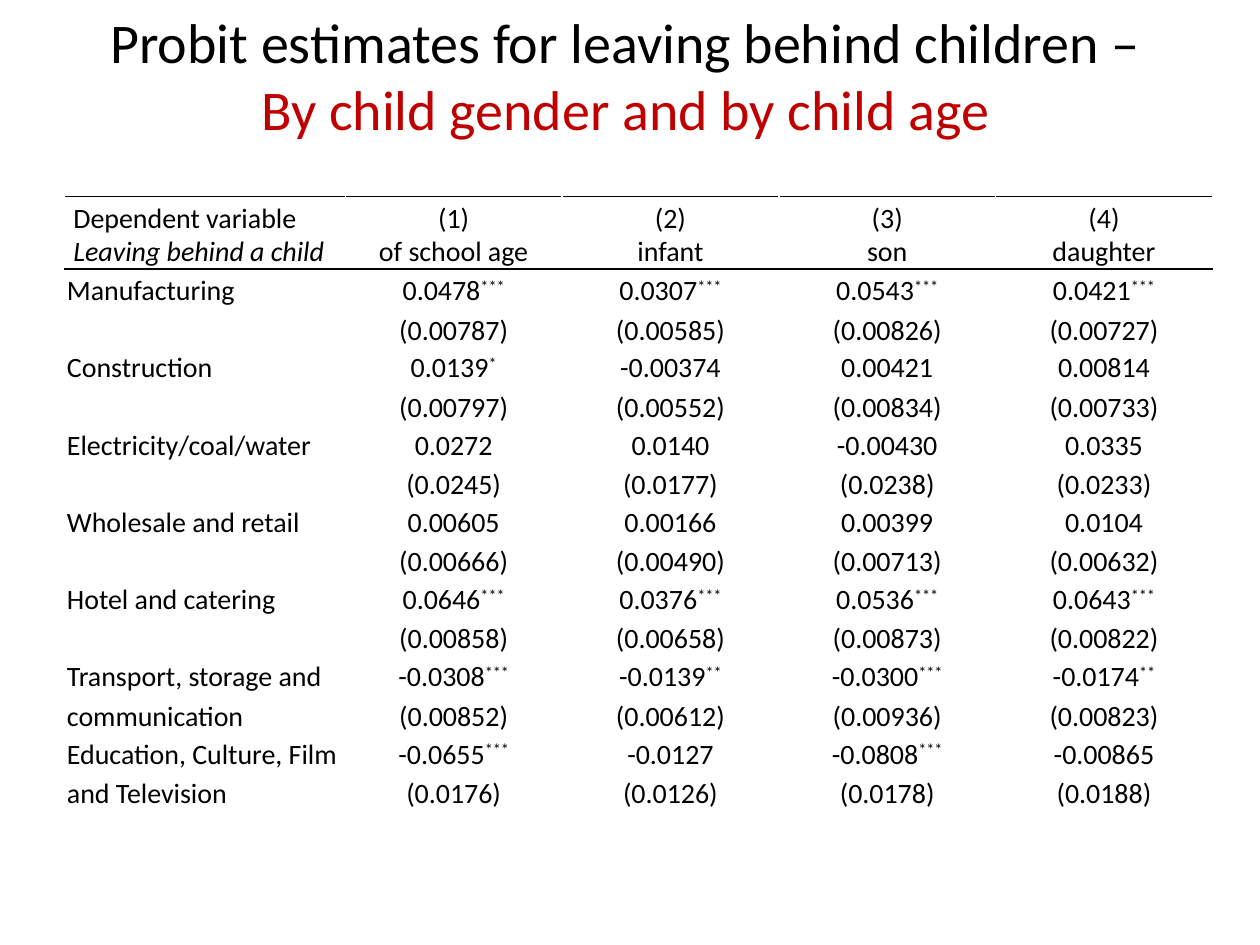
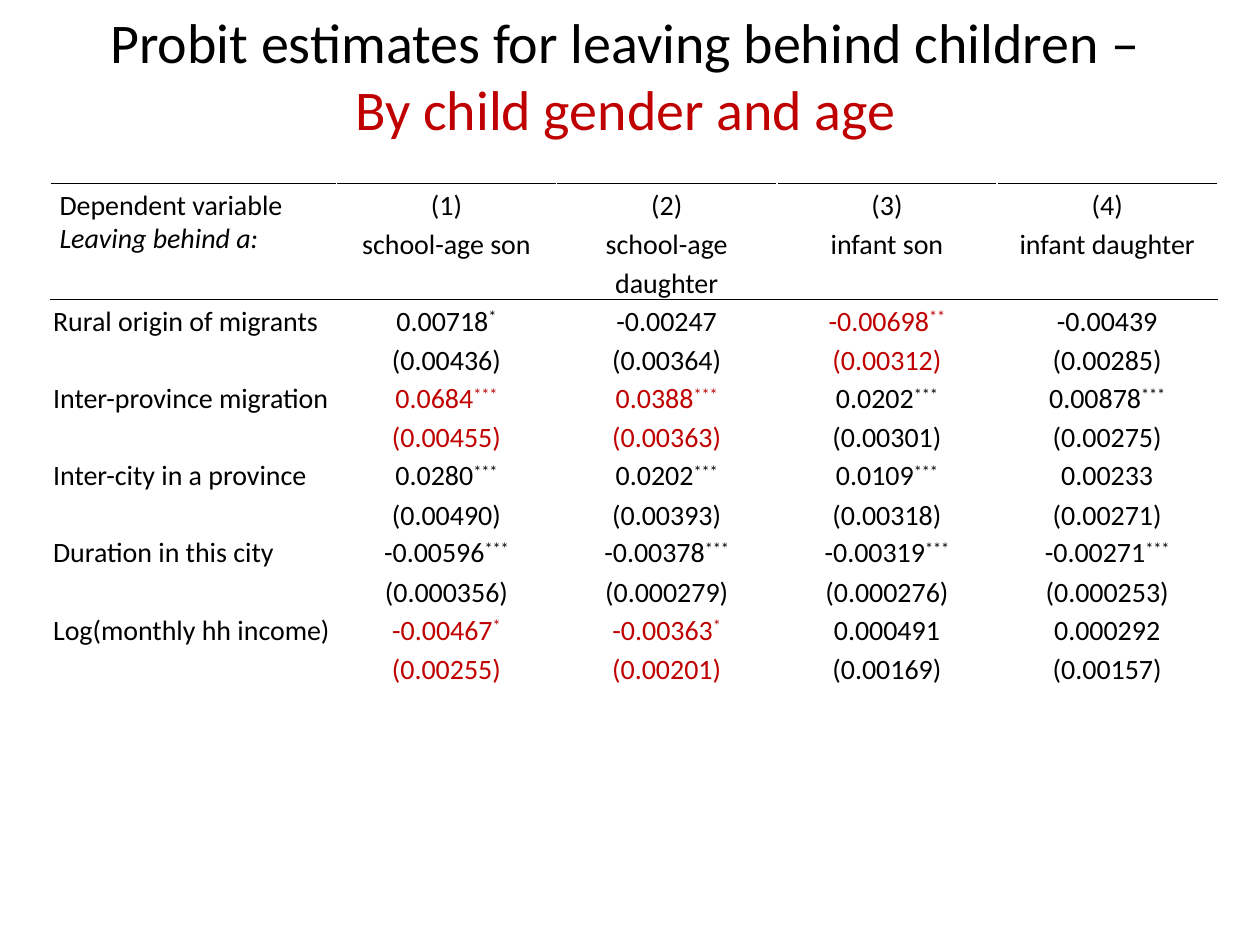
import copy
from dataclasses import dataclass

import pptx
import pptx.dml.color
import pptx.enum.text
import pptx.oxml.ns
import pptx.util
from lxml import etree

Cm = pptx.util.Cm
Pt = pptx.util.Pt
qn = pptx.oxml.ns.qn
ALIGN = pptx.enum.text.PP_ALIGN


@dataclass(frozen=True)
class Theme:
    font: str = "Calibri"
    ink: str = "000000"
    red: str = "C00000"
    paper: str = "FFFFFF"
    title: float = 32
    body: float = 16
    line: float = 1.15
    rule: float = 1


@dataclass(frozen=True)
class Est:
    coef: str
    err: str
    stars: int = 0
    hot: bool = False


@dataclass(frozen=True)
class Row:
    label: str
    ests: tuple[Est, ...]


@dataclass(frozen=True)
class Page:
    topic: str
    left: float
    top: float
    first: float  # width of the label column
    other: float  # width of each value column
    head: float  # height of the second header row
    tight: bool  # single line spacing in the second header row
    group: str
    names: tuple[str, ...]
    rows: tuple[Row, ...]


THEME = Theme()
LEAD = "Probit estimates for leaving behind children –"
WIDE, SLIM = 0.18, 0.05  # cell side margins in cm
TOP_ROW, BODY_ROW = 0.78, 1.55  # row heights in cm

PAGES = (
    Page(
        "By child gender and by child age", 1.3, 3.96, 5.66, 4.37, 0.68, True,
        "Leaving behind a child", ("of school age", "infant", "son", "daughter"),
        (
            Row("Manufacturing", (
                Est("0.0478", "0.00787", 3), Est("0.0307", "0.00585", 3),
                Est("0.0543", "0.00826", 3), Est("0.0421", "0.00727", 3))),
            Row("Construction", (
                Est("0.0139", "0.00797", 1), Est("-0.00374", "0.00552"),
                Est("0.00421", "0.00834"), Est("0.00814", "0.00733"))),
            Row("Electricity/coal/water", (
                Est("0.0272", "0.0245"), Est("0.0140", "0.0177"),
                Est("-0.00430", "0.0238"), Est("0.0335", "0.0233"))),
            Row("Wholesale and retail", (
                Est("0.00605", "0.00666"), Est("0.00166", "0.00490"),
                Est("0.00399", "0.00713"), Est("0.0104", "0.00632"))),
            Row("Hotel and catering", (
                Est("0.0646", "0.00858", 3), Est("0.0376", "0.00658", 3),
                Est("0.0536", "0.00873", 3), Est("0.0643", "0.00822", 3))),
            Row("Transport, storage and communication", (
                Est("-0.0308", "0.00852", 3), Est("-0.0139", "0.00612", 2),
                Est("-0.0300", "0.00936", 3), Est("-0.0174", "0.00823", 2))),
            Row("Education, Culture, Film and Television", (
                Est("-0.0655", "0.0176", 3), Est("-0.0127", "0.0126"),
                Est("-0.0808", "0.0178", 3), Est("-0.00865", "0.0188"))),
        ),
    ),
    Page(
        "By child gender and age", 1.02, 3.7, 5.76, 4.44, 1.55, False,
        "Leaving behind a:",
        ("school-age son", "school-age daughter", "infant son", "infant daughter"),
        (
            Row("Rural origin of migrants", (
                Est("0.00718", "0.00436", 1), Est("-0.00247", "0.00364"),
                Est("-0.00698", "0.00312", 2, True), Est("-0.00439", "0.00285"))),
            Row("Inter-province migration", (
                Est("0.0684", "0.00455", 3, True), Est("0.0388", "0.00363", 3, True),
                Est("0.0202", "0.00301", 3), Est("0.00878", "0.00275", 3))),
            Row("Inter-city in a province", (
                Est("0.0280", "0.00490", 3), Est("0.0202", "0.00393", 3),
                Est("0.0109", "0.00318", 3), Est("0.00233", "0.00271"))),
            Row("Duration in this city", (
                Est("-0.00596", "0.000356", 3), Est("-0.00378", "0.000279", 3),
                Est("-0.00319", "0.000276", 3), Est("-0.00271", "0.000253", 3))),
            Row("Log(monthly hh income)", (
                Est("-0.00467", "0.00255", 1, True), Est("-0.00363", "0.00201", 1, True),
                Est("0.000491", "0.00169"), Est("0.000292", "0.00157"))),
        ),
    ),
)


def style(run, size: float, color: str) -> None:
    run.font.name = THEME.font
    run.font.size = Pt(size)
    run.font.color.rgb = pptx.dml.color.RGBColor.from_string(color)


def edge(cell, side: str, color: str) -> None:
    props = cell._tc.get_or_add_tcPr()
    line = etree.SubElement(props, qn(f"a:ln{side}"), w=str(Pt(THEME.rule)))
    fill = etree.SubElement(line, qn("a:solidFill"))
    etree.SubElement(fill, qn("a:srgbClr"), val=color)


def frame(cell, row: int, pad: float) -> None:
    """Give a cell its margins, borders and fill."""
    cell.margin_left = cell.margin_right = Cm(pad)
    cell.margin_top = cell.margin_bottom = 0
    dark = {0: "T", 1: "B", 2: "T"}.get(row)
    for side in "LRTB":
        edge(cell, side, THEME.ink if side == dark else THEME.paper)
    cell.fill.solid()
    cell.fill.fore_color.rgb = pptx.dml.color.RGBColor.from_string(THEME.paper)


def label(cell, text: str, mid: bool = False, tight: bool = False,
          slant: bool = False) -> None:
    cell.text_frame.text = text
    para = cell.text_frame.paragraphs[0]
    para.alignment = ALIGN.CENTER if mid else ALIGN.LEFT
    para.line_spacing = 1.0 if tight else THEME.line
    run = para.runs[0]
    style(run, THEME.body, THEME.ink)
    if slant:
        run.font.italic = True


def value(cell, est: Est) -> None:
    """Write a coefficient with its stars above its standard error."""
    para = cell.text_frame.paragraphs[0]
    para.text = est.coef
    para.alignment = ALIGN.CENTER
    para.line_spacing = THEME.line
    if est.stars:
        para.add_run().text = "*" * est.stars
    para.add_line_break()
    para.add_run().text = f"({est.err})"
    for run in para.runs:
        style(run, THEME.body, THEME.red if est.hot else THEME.ink)
    # The break takes the size of the text around it
    mark = para._p.find(qn("a:br"))
    mark.insert(0, copy.deepcopy(para.runs[0]._r.rPr))
    if est.stars:
        para.runs[1].font._element.set("baseline", "30000")


def heading(slide, topic: str) -> None:
    title = slide.shapes.title
    title.left, title.top = Cm(0.79), Cm(0)
    title.width, title.height = Cm(23.65), Cm(3)
    text = title.text_frame
    text.text = f"{LEAD}\v{topic}"
    text.word_wrap = True
    text.auto_size = pptx.enum.text.MSO_AUTO_SIZE.SHAPE_TO_FIT_TEXT
    text.vertical_anchor = pptx.enum.text.MSO_ANCHOR.MIDDLE
    para = text.paragraphs[0]
    para.alignment = ALIGN.CENTER
    for run, color in zip(para.runs, (THEME.ink, THEME.red)):
        style(run, THEME.title, color)
    para._p.find(qn("a:br")).insert(0, copy.deepcopy(para.runs[0]._r.rPr))


def grid(slide, page: Page) -> None:
    tall = [TOP_ROW, page.head] + [BODY_ROW] * len(page.rows)
    wide = [page.first] + [page.other] * len(page.names)
    table = slide.shapes.add_table(
        len(tall), len(wide), Cm(page.left), Cm(page.top),
        Cm(sum(wide)), Cm(sum(tall))).table
    table.first_row = table.horz_banding = False
    for col, width in zip(table.columns, wide):
        col.width = Cm(width)
    for row, height in zip(table.rows, tall):
        row.height = Cm(height)
    for r in range(len(tall)):
        for c in range(len(wide)):
            frame(table.cell(r, c), r, SLIM if r > 1 and c == 0 else WIDE)

    # Header rows
    label(table.cell(0, 0), "Dependent variable")
    label(table.cell(1, 0), page.group, tight=True, slant=True)
    for c, name in enumerate(page.names, 1):
        label(table.cell(0, c), f"({c})", mid=True)
        label(table.cell(1, c), name, mid=True, tight=page.tight)

    # Estimates
    for r, row in enumerate(page.rows, 2):
        label(table.cell(r, 0), row.label)
        for c, est in enumerate(row.ests, 1):
            value(table.cell(r, c), est)


def main() -> None:
    deck = pptx.Presentation()
    deck.slide_width, deck.slide_height = Cm(25.4), Cm(19.05)
    for page in PAGES:
        slide = deck.slides.add_slide(deck.slide_layouts[5])
        heading(slide, page.topic)
        grid(slide, page)
    deck.save("out.pptx")


if __name__ == "__main__":
    main()
